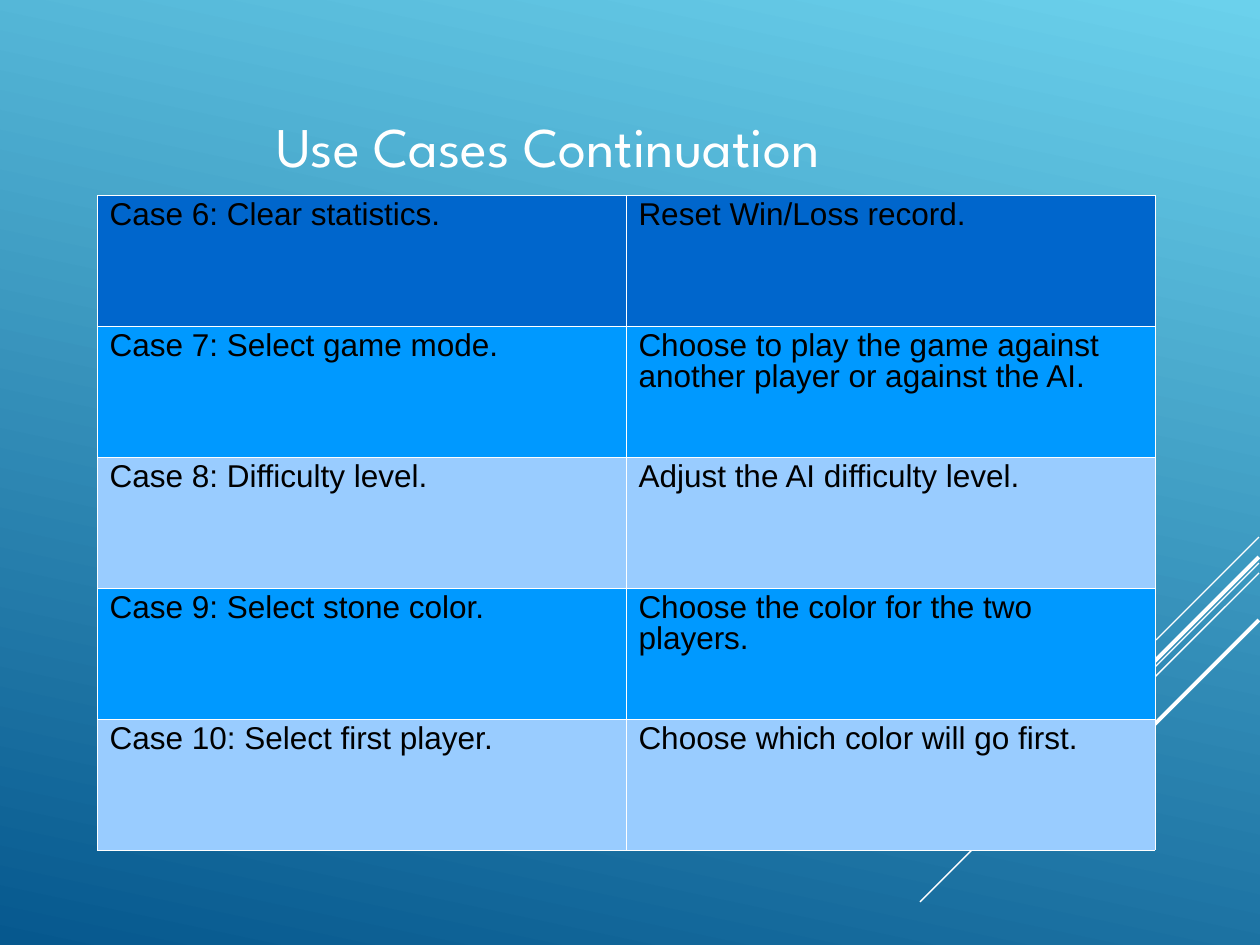
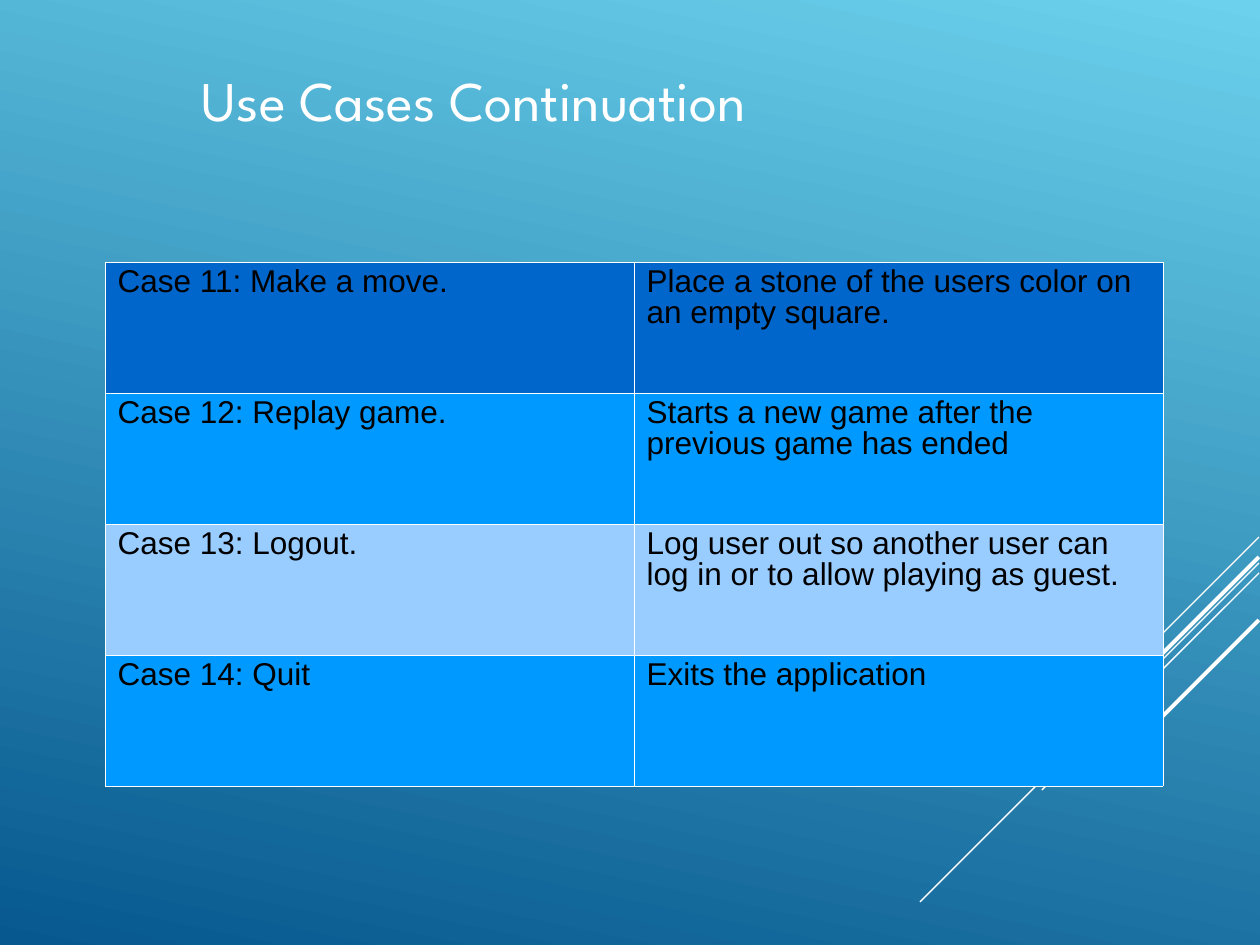
from lxml.etree import SubElement
from pptx import Presentation
from pptx.dml.color import RGBColor
from pptx.enum.shapes import MSO_CONNECTOR
from pptx.enum.text import MSO_ANCHOR, MSO_AUTO_SIZE, PP_ALIGN
from pptx.oxml.ns import qn
from pptx.util import Pt

PX = 7257  # EMU in one px, 126 px to the inch
rgb = RGBColor.from_string

WHITE, BLACK = "FFFFFF", "000000"
GRADIENT = ["6BD1EC", "06588E"]
FIRST_ROW_FILL = "0066CC"
BAND_FILLS = ["99CCFF", "0099FF"]

TITLE = "Use Cases Continuation"
TITLE_WIDTH, TITLE_HEIGHT = 903, 210
COLUMN_WIDTH, ROW_HEIGHT = 529, 131

# Diagonal rays run down and left at 45 degrees: start y, extent, weight in points
RAY_START_X = 1259
RAYS = [(537, 103, 0.75), (563, 339, 0.75), (573, 217, 0.75),
        (557, 198, 2.25), (620, 144, 2.25)]

SLIDES = [
    {
        "title_at": (180, 42), "title_indent": 96, "title_lift": 0,
        "table_at": (97, 195),
        "cases": [
            ("Case 6: Clear statistics.", "Reset Win/Loss record."),
            ("Case 7: Select game mode.",
             "Choose to play the game against another player or against the AI."),
            ("Case 8: Difficulty level.", "Adjust the AI difficulty level."),
            ("Case 9: Select stone color.", "Choose the color for the two players."),
            ("Case 10: Select first player.", "Choose which color will go first."),
        ],
    },
    {
        "title_at": (202, 29), "title_indent": 0, "title_lift": 66,
        "table_at": (105, 262),
        "cases": [
            ("Case 11: Make a move.",
             "Place a stone of the users color on an empty square."),
            ("Case 12: Replay game.",
             "Starts a new game after the previous game has ended"),
            ("Case 13: Logout.",
             "Log user out so another user can log in or to allow playing as guest."),
            ("Case 14: Quit", "Exits the application"),
        ],
    },
]


def write_text(frame, text, *, font, size, color, line_spacing):
    frame.word_wrap = True
    paragraph = frame.paragraphs[0]
    paragraph.alignment = PP_ALIGN.LEFT
    paragraph.line_spacing = line_spacing
    run = paragraph.add_run()
    run.text = text
    run.font.name = font
    run.font.size = Pt(size)
    run.font.color.rgb = rgb(color)


def add_borders(cell, color, weight):
    """Draw all four cell borders; call before filling the cell."""
    properties = cell._tc.get_or_add_tcPr()
    for side in ("lnL", "lnR", "lnT", "lnB"):
        border = SubElement(properties, qn(f"a:{side}"), w=str(Pt(weight)))
        fill = SubElement(border, qn("a:solidFill"))
        SubElement(fill, qn("a:srgbClr"), val=color)


presentation = Presentation()
presentation.slide_width = 1260 * PX
presentation.slide_height = 945 * PX

background = presentation.slide_master.background.fill
background.gradient()
background.gradient_angle = 360 - 102
for stop, position, color in zip(background.gradient_stops, (0, 1), GRADIENT):
    stop.position = position
    stop.color.rgb = rgb(color)

title_only = presentation.slide_layouts[5]

for content in SLIDES:
    slide = presentation.slides.add_slide(title_only)

    for start_y, extent, weight in RAYS:
        ray = slide.shapes.add_connector(
            MSO_CONNECTOR.STRAIGHT, RAY_START_X * PX, start_y * PX,
            (RAY_START_X - extent) * PX, (start_y + extent) * PX)
        ray.line.color.rgb = rgb(WHITE)
        ray.line.width = Pt(weight)
        SubElement(ray._element.spPr, qn("a:effectLst"))

    title = slide.shapes.title
    left, top = content["title_at"]
    title.left, title.top = left * PX, top * PX
    title.width, title.height = TITLE_WIDTH * PX, TITLE_HEIGHT * PX
    frame = title.text_frame
    frame.auto_size = MSO_AUTO_SIZE.NONE
    frame.vertical_anchor = MSO_ANCHOR.MIDDLE
    frame.margin_left = content["title_indent"] * PX
    frame.margin_top = 4 * PX
    frame.margin_right = 0
    frame.margin_bottom = content["title_lift"] * PX
    write_text(frame, TITLE, font="League Spartan", size=32, color=WHITE,
               line_spacing=0.93)

    cases = content["cases"]
    left, top = content["table_at"]
    table = slide.shapes.add_table(
        len(cases), 2, left * PX, top * PX,
        2 * COLUMN_WIDTH * PX, len(cases) * ROW_HEIGHT * PX).table
    table.first_row = False
    table.horz_banding = False
    for column in table.columns:
        column.width = COLUMN_WIDTH * PX
    for row_index, case in enumerate(cases):
        table.rows[row_index].height = ROW_HEIGHT * PX
        row_fill = BAND_FILLS[row_index % 2] if row_index else FIRST_ROW_FILL
        for column_index, text in enumerate(case):
            cell = table.cell(row_index, column_index)
            add_borders(cell, WHITE, 0.06)
            cell.fill.solid()
            cell.fill.fore_color.rgb = rgb(row_fill)
            write_text(cell.text_frame, text, font="Arial", size=18, color=BLACK,
                       line_spacing=0.87)

presentation.save("out.pptx")
